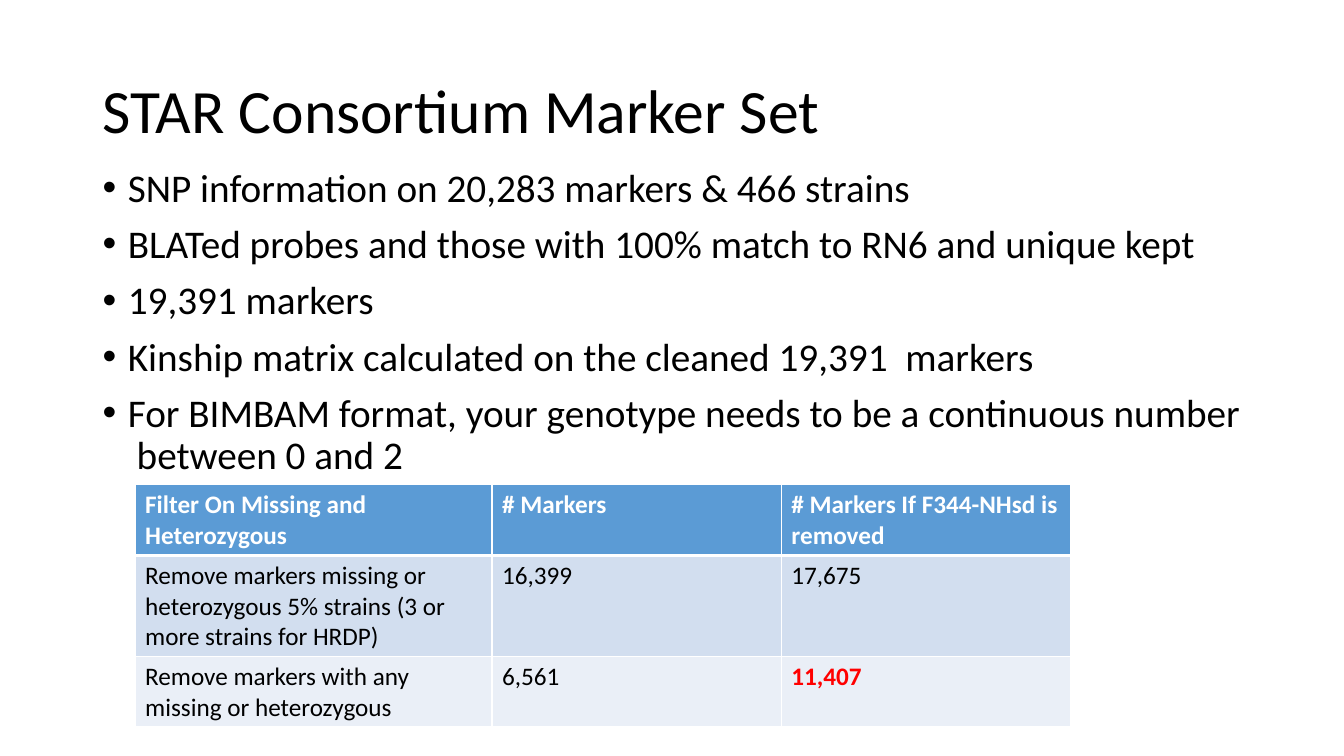
from lxml.etree import SubElement
from pptx import Presentation
from pptx.dml.color import RGBColor
from pptx.enum.text import MSO_ANCHOR as Anchor
from pptx.oxml.ns import qn
from pptx.util import Inches, Pt

# Content
TITLE = "STAR Consortium Marker Set"
BULLETS = [
    "SNP information on 20,283 markers & 466 strains",
    "BLATed probes and those with 100% match to RN6 and unique kept",
    "19,391 markers",
    "Kinship matrix calculated on the cleaned 19,391  markers",
    "For BIMBAM format, your genotype needs to be a continuous number  between 0 and 2",
]
ROWS = [
    ("Filter On Missing and Heterozygous", "# Markers", "# Markers If F344-NHsd is removed"),
    ("Remove markers missing or heterozygous 5% strains (3 or more strains for HRDP)",
     "16,399", "17,675"),
    ("Remove markers with any missing or heterozygous", "6,561", "11,407"),
]
HIGHLIGHT = "11,407"

# Style and layout, in inches
FONT, BLACK, WHITE, RED = "Calibri", "000000", "FFFFFF", "FF0000"
ROW_FILLS = ["5B9BD5", "D2DEEF", "EAEFF7"]
WIDTH, HEIGHT = 13.33, 7.5
MARGIN = 0.92
TEXT_WIDTH = 11.5
COLUMNS = [3.54, 2.87, 2.87]
ROW_HEIGHT = 0.41


def color(value):
    return RGBColor.from_string(value)


def add_span(para, text, size, ink=BLACK, bold=False):
    span = para.add_run()
    span.text = text
    span.font.name, span.font.size, span.font.bold = FONT, Pt(size), bold
    span.font.color.rgb = color(ink)


def add_box(page, top, height, anchor):
    box = page.shapes.add_textbox(Inches(MARGIN), Inches(top), Inches(TEXT_WIDTH), Inches(height))
    box.text_frame.word_wrap = True
    box.text_frame.vertical_anchor = anchor
    return box.text_frame


def add_bullet(para):
    props = para._p.get_or_add_pPr()
    props.set("marL", str(Inches(0.25)))
    props.set("indent", str(-Inches(0.25)))
    SubElement(props, qn("a:buFont"), typeface="Arial")
    SubElement(props, qn("a:buChar"), char="•")


def add_borders(cell, is_header, below_header):
    props = cell._tc.get_or_add_tcPr()
    widths = {"lnL": 1, "lnR": 1, "lnT": 3 if below_header else 1, "lnB": 3 if is_header else 1}
    for side, width in widths.items():
        line = SubElement(props, qn("a:" + side), w=str(Pt(width)))
        SubElement(SubElement(line, qn("a:solidFill")), qn("a:srgbClr"), val=WHITE)


deck = Presentation()
deck.slide_width, deck.slide_height = Inches(WIDTH), Inches(HEIGHT)
page = deck.slides.add_slide(deck.slide_layouts[6])

# Title
para = add_box(page, 0.4, 1.45, Anchor.MIDDLE).paragraphs[0]
para.line_spacing = 0.9
add_span(para, TITLE, 44)

# Bullets
frame = add_box(page, 1.62, 4.76, Anchor.TOP)
for index, text in enumerate(BULLETS):
    para = frame.add_paragraph() if index else frame.paragraphs[0]
    para.line_spacing, para.space_before = 0.9, Pt(10)
    add_bullet(para)
    add_span(para, text, 28)

# Marker table
table = page.shapes.add_table(
    len(ROWS), len(COLUMNS), Inches(1.34), Inches(4.81),
    Inches(sum(COLUMNS)), Inches(ROW_HEIGHT * len(ROWS))).table
table.first_row = table.horz_banding = False
for column, width in zip(table.columns, COLUMNS):
    column.width = Inches(width)
for r, (texts, fill) in enumerate(zip(ROWS, ROW_FILLS)):
    for c, text in enumerate(texts):
        cell = table.cell(r, c)
        add_borders(cell, r == 0, r == 1)
        cell.fill.solid()
        cell.fill.fore_color.rgb = color(fill)
        marked = text == HIGHLIGHT
        ink = WHITE if r == 0 else RED if marked else BLACK
        add_span(cell.text_frame.paragraphs[0], text, 18, ink, r == 0 or marked)

deck.save("out.pptx")
